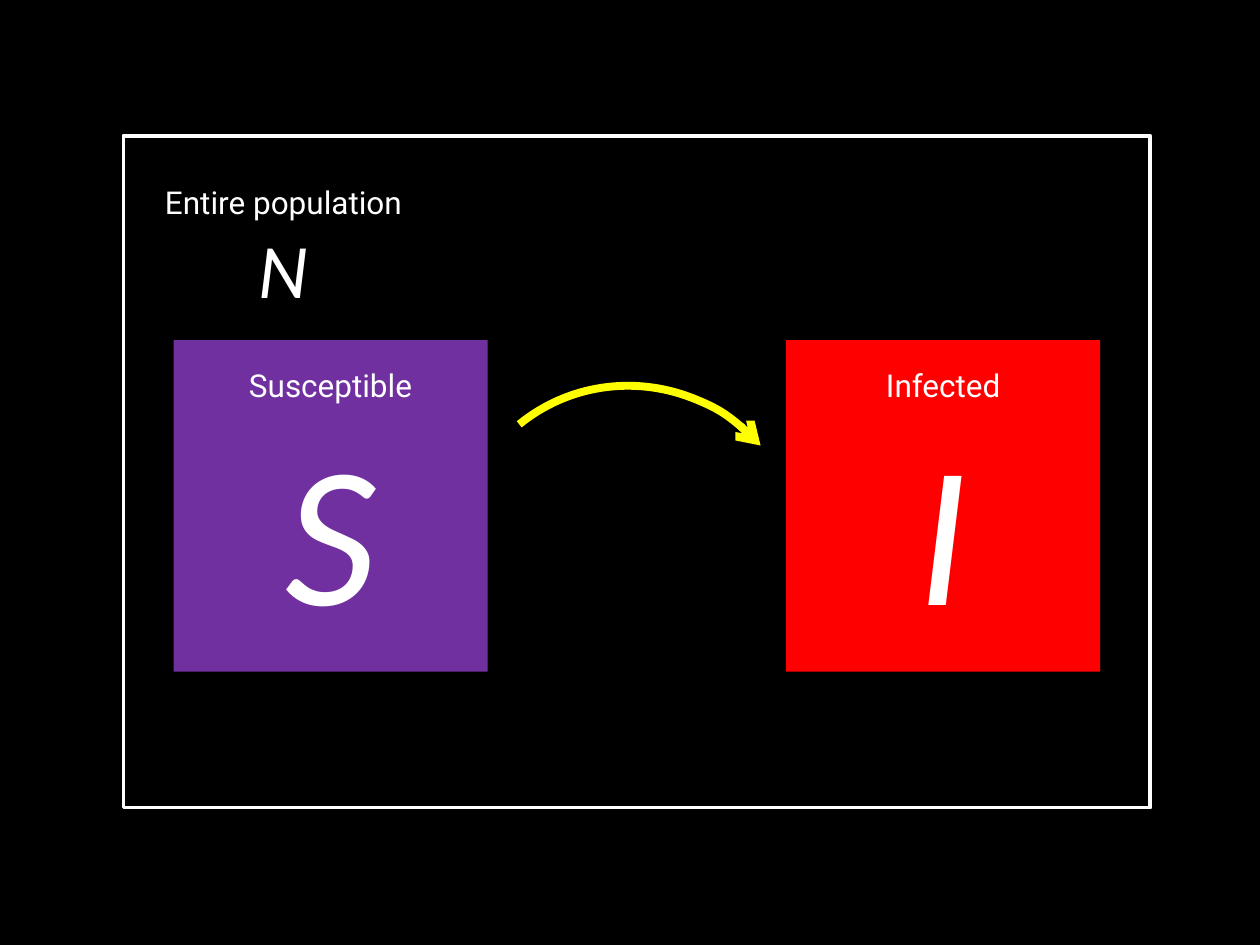
import pptx
import pptx.dml.color
import pptx.enum.shapes
import pptx.enum.text
import pptx.oxml.ns
import pptx.util
from lxml import etree

Cm = pptx.util.Cm
SHAPES = pptx.enum.shapes.MSO_SHAPE
ANCHORS = pptx.enum.text.MSO_ANCHOR

WHITE, YELLOW, BLACK = "FFFFFF", "FFFF00", "000000"

# label, symbol, fill, left edge in cm
compartments = [
    ("Susceptible", "S", "7030A0", 3.5),
    ("Infected", "I", "FF0000", 15.85),
]
compartment_top, compartment_width, compartment_height = 6.86, 6.33, 6.68
population = ("Entire population", "N")
population_box = (2.49, 2.74, 20.7, 13.54)
infection_box = (9.22, 7.75, 7.01, 7.14)
infection_angles = (270, 357.3)
infection_rotation = -39.2


def rgb(color):
    return pptx.dml.color.RGBColor.from_string(color)


def add_outline(kind, box, fill=None, line=None, weight=0):
    shape = slide.shapes.add_shape(kind, *(Cm(length) for length in box))
    shape.shadow.inherit = False
    if fill:
        shape.fill.solid()
        shape.fill.fore_color.rgb = rgb(fill)
    else:
        shape.fill.background()
    if line:
        shape.line.color.rgb = rgb(line)
        shape.line.width = pptx.util.Pt(weight)
    else:
        shape.line.fill.background()
    return shape


def write(paragraph, text, size, font="Roboto", italic=False, color=WHITE):
    paragraph.alignment = pptx.enum.text.PP_ALIGN.CENTER
    run = paragraph.add_run()
    run.text = text
    run.font.size = pptx.util.Pt(size)
    run.font.name = font
    run.font.italic = italic
    run.font.color.rgb = rgb(color)


def write_quantity(shape, label, symbol, symbol_size, anchor):
    """Write a label with its variable on the line below."""
    frame = shape.text_frame
    frame.word_wrap = True
    frame.vertical_anchor = anchor
    write(frame.paragraphs[0], label, 18)
    write(frame.add_paragraph(), symbol, symbol_size, font="Calibri", italic=True)
    return frame


presentation = pptx.Presentation()
presentation.slide_width, presentation.slide_height = Cm(25.4), Cm(19.05)
slide = presentation.slides.add_slide(presentation.slide_layouts[6])
slide.background.fill.solid()
slide.background.fill.fore_color.rgb = rgb(BLACK)

for label, symbol, fill, left in compartments:
    box = (left, compartment_top, compartment_width, compartment_height)
    compartment = add_outline(SHAPES.RECTANGLE, box, fill=fill)
    write_quantity(compartment, label, symbol, 115, ANCHORS.MIDDLE)

whole = add_outline(SHAPES.RECTANGLE, population_box, line=WHITE, weight=2.25)
whole_text = write_quantity(whole, *population, 44, ANCHORS.TOP)
whole_text.margin_left, whole_text.margin_right = Cm(0.69), Cm(14.94)
whole_text.margin_top = Cm(0.96)

infection = add_outline(SHAPES.ARC, infection_box, line=YELLOW, weight=4.5)
infection.rotation = infection_rotation
for index, angle in enumerate(infection_angles):
    # adjustments count 100000ths, arc angles 60000ths of a degree
    infection.adjustments[index] = angle * 0.6
arrowhead = etree.SubElement(infection.line._get_or_add_ln(), pptx.oxml.ns.qn("a:tailEnd"))
arrowhead.set("type", "arrow")

presentation.save("out.pptx")
